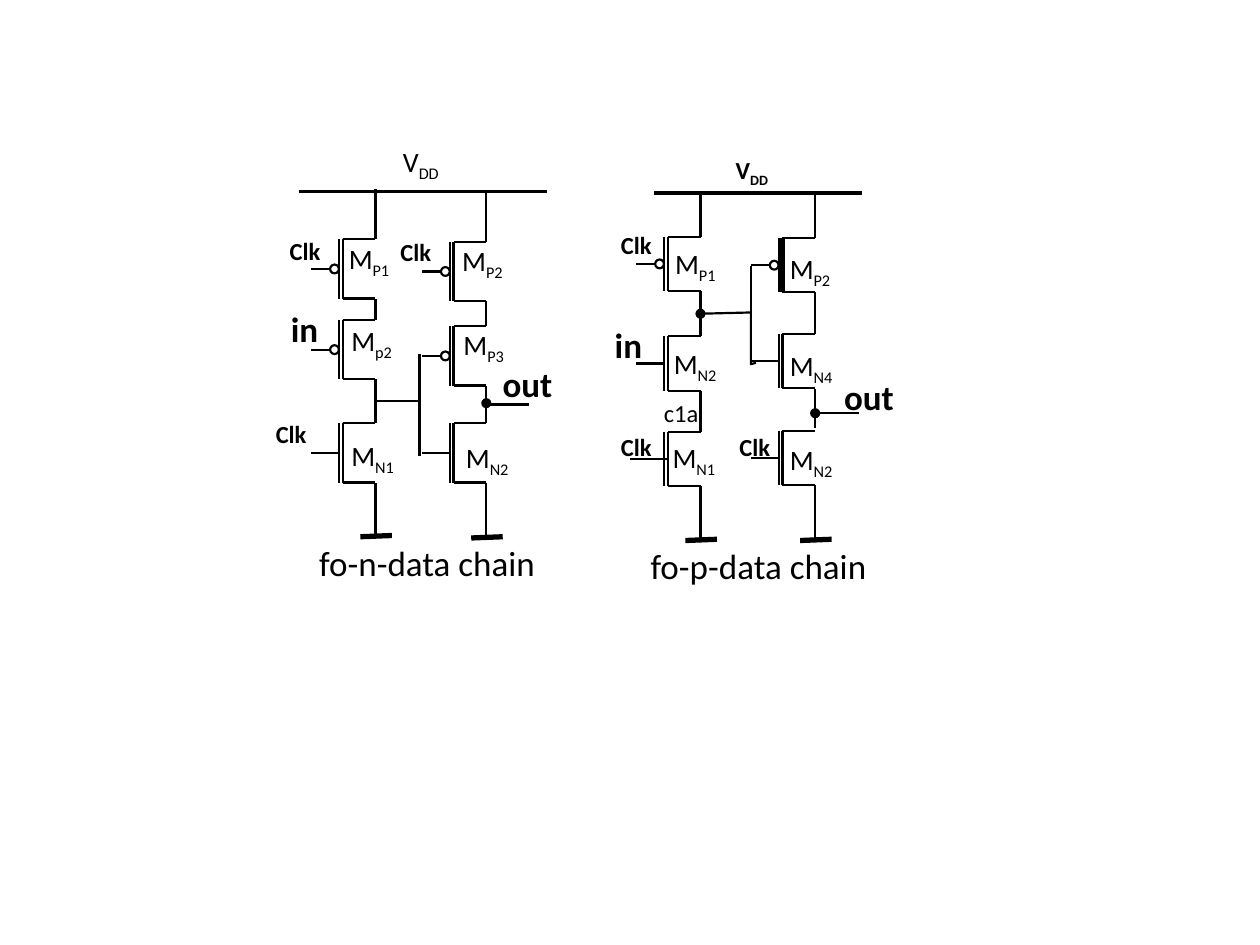
"""Draw two dynamic logic chains, fo-n-data and fo-p-data, as transistor circuits."""
import pptx
import pptx.dml.color
import pptx.enum.shapes
import pptx.enum.text
import pptx.oxml
import pptx.oxml.ns
import pptx.util

Inches = pptx.util.Inches
Pt = pptx.util.Pt
COLORS = {"ink": "000000", "paper": "FFFFFF"}
REACH = 0.29
GAP = 0.03
LEAD = 0.22
DOT = 0.07
THIN, RAIL, HEAVY = 1.25, 2, 3


def color(name):
    return pptx.dml.color.RGBColor.from_string(COLORS[name])


def wire(group, x1, y1, x2, y2, width=THIN):
    line = group.shapes.add_connector(
        pptx.enum.shapes.MSO_CONNECTOR.STRAIGHT,
        Inches(x1), Inches(y1), Inches(x2), Inches(y2))
    line.line.color.rgb = color("ink")
    line.line.width = Pt(width)
    props = line._element.spPr
    props.append(pptx.oxml.parse_xml(
        "<a:effectLst %s/>" % pptx.oxml.ns.nsdecls("a")))


def bend(group, points):
    start, *rest = [(Inches(x), Inches(y)) for x, y in points]
    maker = group.shapes.build_freeform(*start)
    maker.add_line_segments(rest, close=False)
    shape = maker.convert_to_shape()
    shape.shadow.inherit = False
    shape.fill.background()
    shape.line.color.rgb = color("ink")
    shape.line.width = Pt(THIN)


def dot(group, x, y, fill="ink", width=0.75):
    shape = group.shapes.add_shape(
        pptx.enum.shapes.MSO_SHAPE.OVAL, Inches(x - DOT / 2),
        Inches(y - DOT / 2), Inches(DOT), Inches(DOT))
    shape.shadow.inherit = False
    shape.fill.solid()
    shape.fill.fore_color.rgb = color(fill)
    shape.line.color.rgb = color("ink")
    shape.line.width = Pt(width)


def label(group, text, x, y, w, size=16, bold=False, center=False):
    box = group.shapes.add_textbox(
        Inches(x), Inches(y), Inches(w), Pt(size * 1.22 + 7.2))
    frame = box.text_frame
    frame.word_wrap = True
    para = frame.paragraphs[0]
    if center:
        para.alignment = pptx.enum.text.PP_ALIGN.CENTER
    for index, part in enumerate(text.split("_")):
        run = para.add_run()
        run.text = part
        run.font.name = "Calibri"
        run.font.size = Pt(size)
        run.font.bold = bold
        run.font.color.rgb = color("ink")
        if index:
            run.font._element.set("baseline", "-25000")


def mos(group, drain, top, tall, ptype=False, body=THIN, lead=LEAD, over=0):
    gate = drain - REACH
    inner = gate + GAP
    low, mid = top + tall, top + tall / 2
    wire(group, gate, top, gate, low)
    wire(group, inner, top, inner, low, body)
    wire(group, inner, top, drain, top)
    wire(group, inner, low, drain, low)
    wire(group, gate + over, mid, gate - lead, mid)
    if ptype:
        dot(group, gate - DOT / 2, mid, "paper", THIN)


def ground(group, x, top, base):
    wire(group, x, top, x, base)
    wire(group, x + 0.13, base - 0.01, x - 0.12, base, HEAVY)


def nchain(group):
    left, right, tall = 2.98, 3.86, 0.47
    wire(group, 2.37, 1.52, 4.34, 1.52, RAIL)
    for drain, top, ptype in [
            (left, 1.9, True), (left, 2.54, True), (left, 3.36, False),
            (right, 1.92, True), (right, 2.59, True), (right, 3.36, False)]:
        mos(group, drain, top, tall, ptype)
    for x, y1, y2 in [
            (left, 1.5, 1.9), (left, 2.37, 2.54), (left, 3.01, 3.36),
            (right, 1.52, 1.92), (right, 2.39, 2.59), (right, 3.06, 3.36),
            (3.33, 2.81, 3.62)]:
        wire(group, x, y1, x, y2)
    wire(group, left, 3.18, 3.33, 3.18)
    wire(group, right, 3.21, 4.2, 3.21)
    dot(group, right, 3.2)
    ground(group, left, 3.83, 4.26)
    ground(group, right, 3.83, 4.27)
    for text, x, y in [
            ("V_DD", 3.1, 1.1), ("M_P1", 2.67, 1.87), ("M_p2", 2.69, 2.52),
            ("M_N1", 2.69, 3.43), ("M_P2", 3.57, 1.88),
            ("M_P3", 3.58, 2.55), ("M_N2", 3.6, 3.45)]:
        label(group, text, x, y, 0.66)
    for x, y in [(2.2, 1.82), (3.08, 1.83), (2.09, 3.28)]:
        label(group, "Clk", x, y, 0.49, size=14, bold=True)
    label(group, "in", 2.21, 2.39, 0.52, size=20, bold=True)
    label(group, "out", 3.89, 2.83, 0.65, size=20, bold=True)


def pchain(group):
    left, right, tall = 5.56, 6.47, 0.43
    wire(group, 5.19, 1.53, 6.84, 1.53, RAIL)
    mos(group, left, 1.88, tall, True)
    mos(group, left, 2.67, tall)
    mos(group, left, 3.43, tall, lead=0.27, over=0.04)
    mos(group, right, 1.89, tall, True, body=HEAVY)
    mos(group, right, 2.65, tall)
    mos(group, right, 3.42, tall)
    for x, y1, y2 in [
            (left, 1.52, 1.88), (left, 2.31, 2.67), (left, 3.1, 3.43),
            (right, 1.52, 1.89), (right, 2.32, 2.65), (right, 3.09, 3.4),
            (5.96, 2.11, 2.55)]:
        wire(group, x, y1, x, y2)
    bend(group, [(left, 2.49), (5.96, 2.48), (5.96, 2.89), (6, 2.88)])
    wire(group, right, 3.28, 6.82, 3.28)
    dot(group, left, 2.49)
    dot(group, right, 3.28)
    ground(group, left, 3.86, 4.29)
    ground(group, right, 3.85, 4.29)
    label(group, "V_DD", 5.74, 1.18, 0.63, size=14, bold=True)
    for text, x, y in [
            ("M_P1", 5.26, 1.91), ("M_N2", 5.25, 2.7), ("M_N1", 5.24, 3.45),
            ("M_P2", 6.17, 1.95), ("M_N4", 6.17, 2.72),
            ("M_N2", 6.17, 3.46)]:
        label(group, text, x, y, 0.66)
    for x, y in [(4.83, 1.78), (4.83, 3.38), (5.77, 3.38)]:
        label(group, "Clk", x, y, 0.49, size=14, bold=True)
    label(group, "c1a", 5.17, 3.11, 0.55, size=14)
    label(group, "in", 4.78, 2.52, 0.52, size=20, bold=True)
    label(group, "out", 6.6, 2.93, 0.65, size=20, bold=True)


def main():
    deck = pptx.Presentation()
    deck.slide_width, deck.slide_height = Inches(10), Inches(7.5)
    slide = deck.slides.add_slide(deck.slide_layouts[6])
    pchain(slide.shapes.add_group_shape())
    nchain(slide.shapes.add_group_shape())
    label(slide, "fo-n-data chain", 2.37, 4.25, 2.04, size=20, center=True)
    label(slide, "fo-p-data chain", 4.79, 4.27, 2.46, size=20, center=True)
    deck.save("out.pptx")


if __name__ == "__main__":
    main()
